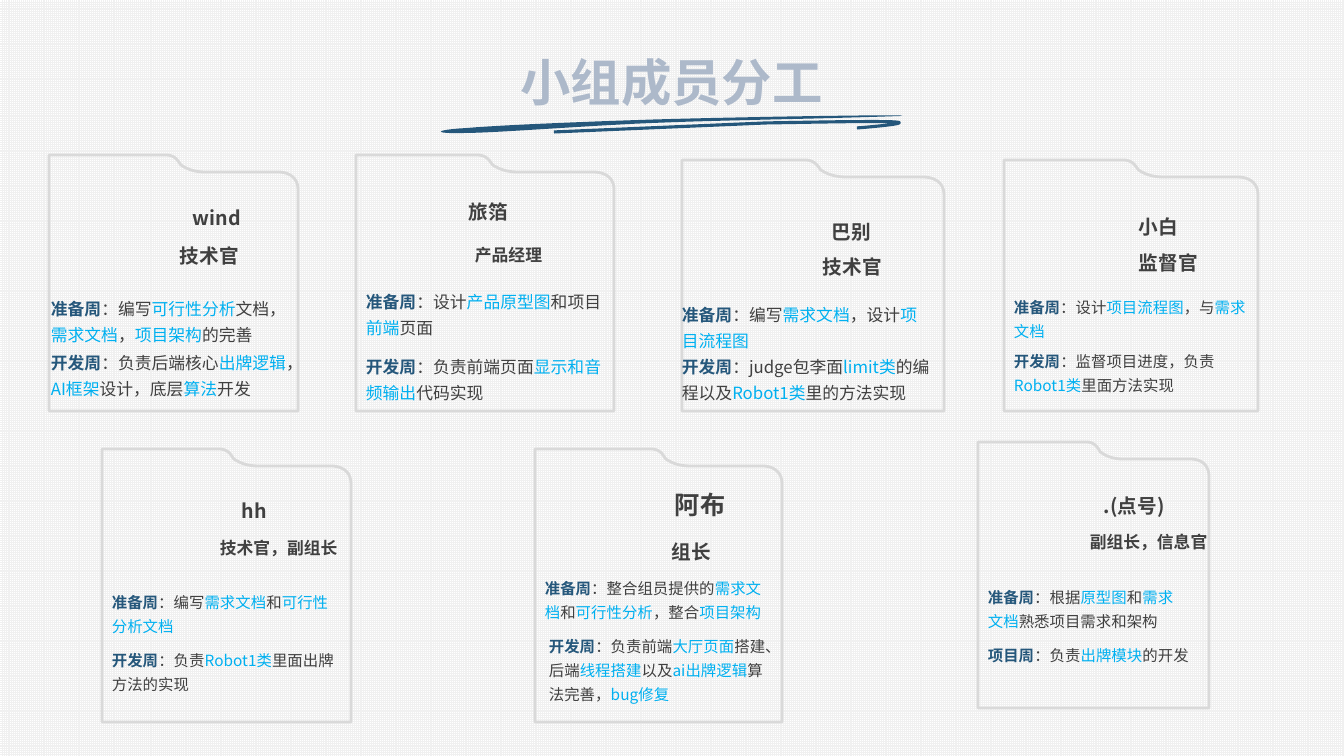
"""Build the team roles slide with seven member folders."""
import pptx
import pptx.dml.color
import pptx.enum.dml
import pptx.enum.text
import pptx.oxml.ns
import pptx.util

EMU_PER_PX = 12192000 / 1344
FONT = "Noto Sans CJK SC"
NAVY = pptx.dml.color.RGBColor(0x25, 0x57, 0x7B)
SKY = pptx.dml.color.RGBColor(0x00, 0xB0, 0xF0)
INK = pptx.dml.color.RGBColor(0x40, 0x40, 0x40)
FOLDER_GREY = pptx.dml.color.RGBColor(0xD9, 0xD9, 0xD9)
TITLE_BLUE = pptx.dml.color.RGBColor(0xAD, 0xB9, 0xCA)
GRID_GREY = pptx.dml.color.RGBColor(0xF0, 0xF0, 0xF0)
WHITE = pptx.dml.color.RGBColor(0xFF, 0xFF, 0xFF)

TITLE = "小组成员分工"
TITLE_BOX = (426, 53, 491, 65)
BRUSH = [[(467, 128)], [(502, 125), (600, 121), (672, 119)],
         [(744, 117), (923, 114), (901, 116)], [(817, 119), (725, 120), (652, 123)],
         [(580, 126), (495, 133), (465, 133)], [(433, 134), (432, 130), (467, 128)]]
BRUSH_TAIL = [[(554, 132)], [(766, 123)], [(823, 122), (880, 121), (895, 122)],
              [(910, 123), (883, 126), (857, 128)]]

MEMBERS = [
    {"folder": (49, 155, 249, 256),
     "headings": [("wind", 14, (183, 194, 93, 41)), ("技术官", 14, (170, 232, 142, 41))],
     "duties": [("准备周", 12, (41, 288, 257, 62),
                 ["：编写", "可行性分析", "文档，", "需求文档", "，", "项目架构", "的完善"]),
                ("开发周", 12, (41, 342, 262, 86),
                 ["：负责后端核心", "出牌逻辑", "，", "AI框架", "设计，底层", "算法", "开发"])]},
    {"folder": (356, 155, 258, 256),
     "headings": [("旅箔", 14, (459, 188, 152, 41)), ("产品经理", 12, (465, 234, 176, 36))],
     "duties": [("准备周", 12, (356, 281, 256, 62),
                 ["：设计", "产品原型图", "和项目", "前端", "页面"]),
                ("开发周", 12, (356, 346, 256, 62),
                 ["：负责前端页面", "显示和音频输出", "代码实现"])]},
    {"folder": (682, 160, 262, 251),
     "headings": [("巴别", 14, (822, 208, 81, 41)), ("技术官", 14, (813, 243, 144, 41))],
     "duties": [("准备周", 12, (672, 294, 271, 62),
                 ["：编写", "需求文档", "，设计", "项目流程图"]),
                ("开发周", 12, (672, 346, 272, 62),
                 ["：judge包李面", "limit类", "的编程以及", "Robot1类", "里的方法实现"])]},
    {"folder": (1004, 160, 254, 251),
     "headings": [("小白", 14, (1129, 203, 96, 41)), ("监督官", 14, (1129, 239, 130, 41))],
     "duties": [("准备周", 11, (1004, 288, 255, 58),
                 ["：设计", "项目流程图", "，与", "需求文档"]),
                ("开发周", 11, (1004, 342, 256, 58),
                 ["：监督项目进度，负责", "Robot1类", "里面方法实现"])]},
    {"folder": (102, 449, 249, 273),
     "headings": [("hh", 14, (232, 487, 90, 41)), ("技术官，副组长", 12, (210, 527, 192, 36))],
     "duties": [("准备周", 11, (102, 583, 249, 58),
                 ["：编写", "需求文档", "和", "可行性分析文档"]),
                ("开发周", 11, (102, 641, 243, 58),
                 ["：负责", "Robot1类", "里面出牌方法的实现"])]},
    {"folder": (535, 449, 247, 273),
     "headings": [("阿布", 18, (665, 484, 72, 40)), ("组长", 14, (662, 528, 103, 41))],
     "duties": [("准备周", 11, (535, 569, 247, 58),
                 ["：整合组员提供的", "需求文档", "和", "可行性分析", "，整合", "项目架构"]),
                ("开发周", 11, (539, 627, 243, 83),
                 ["：负责前端", "大厅页面", "搭建、后端", "线程搭建", "以及", "ai出牌逻辑",
                  "算法完善，", "bug修复"])]},
    {"folder": (978, 442, 231, 266),
     "headings": [(".(点号)", 14, (1094, 482, 149, 38)),
                  ("副组长，信息官", 12, (1080, 521, 234, 36))],
     "duties": [("准备周", 11, (978, 578, 219, 58),
                 ["：根据", "原型图", "和", "需求文档", "熟悉项目需求和架构"]),
                ("项目周", 11, (978, 636, 231, 32), ["：负责", "出牌模块", "的开发"])]},
]


def emu(px):
    return round(px * EMU_PER_PX)


def trace(segments, steps=12):
    points = list(segments[0])
    for segment in segments[1:]:
        if len(segment) == 1:
            points += segment
            continue
        corners = [points[-1], *segment]
        for step in range(1, steps + 1):
            t = step / steps
            weights = ((1 - t) ** 3, 3 * t * (1 - t) ** 2, 3 * t * t * (1 - t), t ** 3)
            points.append(tuple(sum(w * corner[axis] for w, corner in zip(weights, corners))
                                for axis in (0, 1)))
    return points


def add_outline(slide, segments, close, fill=None, line=None, width=2):
    points = [(emu(x), emu(y)) for x, y in trace(segments)]
    builder = slide.shapes.build_freeform(*points[0])
    builder.add_line_segments(points[1:], close=close)
    outline = builder.convert_to_shape()
    outline.shadow.inherit = False
    if fill is None:
        outline.fill.background()
    else:
        outline.fill.solid()
        outline.fill.fore_color.rgb = fill
    if line is None:
        outline.line.fill.background()
    else:
        outline.line.color.rgb = line
        outline.line.width = pptx.util.Pt(width)


def folder_segments(left, top, width, height):
    def at(share, drop):
        return left + share * width, top + drop

    return [[at(0, 0)], [at(0.47, 0)],
            [at(0.51, 0), at(0.52, 7), at(0.53, 10)],
            [at(0.56, 15), at(0.59, 17), at(0.63, 17)],
            [at(0.92, 17)], [at(0.97, 17), at(1, 24), at(1, 34)],
            [at(1, height)], [at(0, height)]]


def add_run(paragraph, text, size, color, bold):
    run = paragraph.add_run()
    run.text = text
    run.font.size = pptx.util.Pt(size)
    run.font.bold = bold
    run.font.color.rgb = color
    run.font.name = FONT
    properties = run._r.get_or_add_rPr()
    properties.append(properties.makeelement(pptx.oxml.ns.qn("a:ea"), {"typeface": FONT}))


def add_text(slide, box, runs, spacing=1.3):
    frame = slide.shapes.add_textbox(*map(emu, box)).text_frame
    frame.word_wrap = True
    paragraph = frame.paragraphs[0]
    paragraph.line_spacing = spacing
    for run in runs:
        add_run(paragraph, *run)


def main():
    deck = pptx.Presentation()
    deck.slide_width, deck.slide_height = emu(1344), emu(756)
    slide = deck.slides.add_slide(deck.slide_layouts[5])
    backdrop = slide.background.fill
    backdrop.patterned()
    backdrop.pattern = pptx.enum.dml.MSO_PATTERN.SMALL_GRID
    backdrop.fore_color.rgb, backdrop.back_color.rgb = GRID_GREY, WHITE

    add_outline(slide, BRUSH, True, fill=NAVY)
    add_outline(slide, BRUSH_TAIL, False, line=NAVY, width=2.25)
    title = slide.shapes.title
    title.left, title.top, title.width, title.height = map(emu, TITLE_BOX)
    title.text_frame.vertical_anchor = pptx.enum.text.MSO_ANCHOR.MIDDLE
    heading = title.text_frame.paragraphs[0]
    heading.alignment = pptx.enum.text.PP_ALIGN.CENTER
    heading.line_spacing = 0.9
    add_run(heading, TITLE, 36, TITLE_BLUE, True)

    for member in MEMBERS:
        add_outline(slide, folder_segments(*member["folder"]), True, line=FOLDER_GREY)
        for text, size, box in member["headings"]:
            add_text(slide, box, [(text, size, INK, True)], 1 if size == 18 else 1.3)
        for week, size, box, texts in member["duties"]:
            runs = [(text, size, SKY if index % 2 else INK, False)
                    for index, text in enumerate(texts)]
            add_text(slide, box, [(week, size, NAVY, True), *runs])
    deck.save("out.pptx")


if __name__ == "__main__":
    main()
